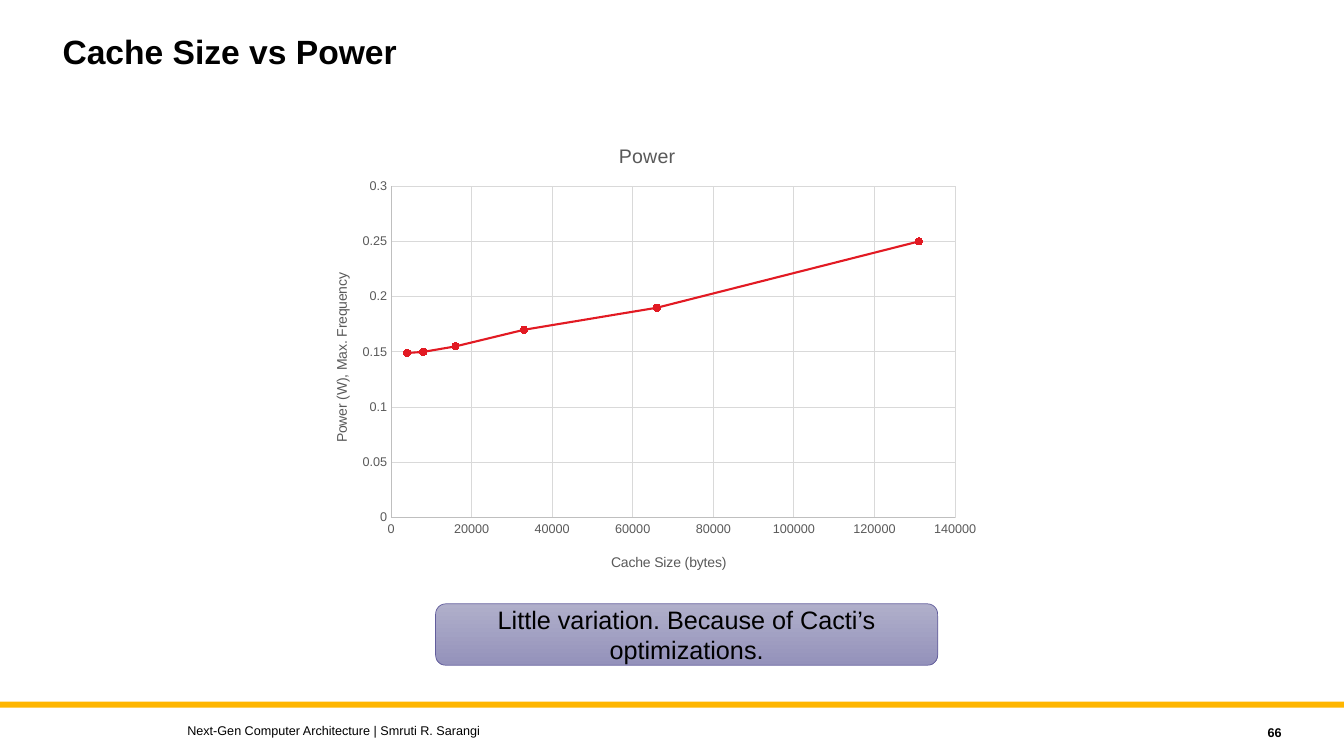
from pptx import Presentation
from pptx.chart.data import XyChartData
from pptx.dml.color import RGBColor
from pptx.enum.chart import XL_CHART_TYPE, XL_MARKER_STYLE, XL_TICK_MARK
from pptx.enum.shapes import MSO_SHAPE
from pptx.enum.text import MSO_ANCHOR, PP_ALIGN
from pptx.oxml import parse_xml
from pptx.oxml.ns import nsdecls, qn
from pptx.util import Inches, Pt

SCATTER = XL_CHART_TYPE.XY_SCATTER_LINES
CIRCLE = XL_MARKER_STYLE.CIRCLE
NO_TICK = XL_TICK_MARK.NONE
RECT, ROUND = MSO_SHAPE.RECTANGLE, MSO_SHAPE.ROUNDED_RECTANGLE
TOP, MIDDLE = MSO_ANCHOR.TOP, MSO_ANCHOR.MIDDLE
LEFT, CENTER, RIGHT = PP_ALIGN.LEFT, PP_ALIGN.CENTER, PP_ALIGN.RIGHT

FONT = "Arial"
COLORS = {"text": "000000", "gray": "595959", "axis": "BFBFBF",
          "grid": "D9D9D9", "power": "E21A23", "bar": "FFB600",
          "light": "B0AFCA", "dark": "9492BB", "edge": "625D9C"}
POINTS = [(4000, 0.149), (8000, 0.15), (16000, 0.155),
          (33000, 0.17), (66000, 0.19), (131000, 0.25)]


def color(name):
    return RGBColor.from_string(COLORS[name])


def style(font, size, name="text", bold=False):
    font.name, font.size, font.bold = FONT, Pt(size), bold
    font.color.rgb = color(name)


def write(frame, text, size, align=LEFT, anchor=MIDDLE, bold=False):
    frame.word_wrap = True
    frame.vertical_anchor = anchor
    para = frame.paragraphs[0]
    para.alignment = align
    run = para.add_run()
    run.text = text
    style(run.font, size, bold=bold)
    return para


def stroke(line, name, width):
    line.color.rgb = color(name)
    line.width = Pt(width)


def place(node, x, y, w=None, h=None):
    """Fix a chart part at fractions of the chart box."""
    for old in node.findall(qn("c:layout")):
        node.remove(old)
    inner = '<c:layoutTarget val="inner"/>' if w else ""
    sizes = f'<c:w val="{w}"/><c:h val="{h}"/>' if w else ""
    layout = parse_xml(
        f'<c:layout {nsdecls("c")}><c:manualLayout>{inner}'
        '<c:xMode val="edge"/><c:yMode val="edge"/>'
        f'<c:x val="{x}"/><c:y val="{y}"/>{sizes}'
        '</c:manualLayout></c:layout>')
    # Layout follows the text in a title and comes first in the plot area
    node.insert(0 if w else 1, layout)


def label(title, text, size, x, y):
    run = title.text_frame.paragraphs[0].add_run()
    run.text = text
    style(run.font, size, "gray")
    place(title.element, x, y)


def set_axis(axis, top, step, form):
    axis.minimum_scale, axis.maximum_scale = 0, top
    axis.major_unit = step
    axis.major_tick_mark = axis.minor_tick_mark = NO_TICK
    axis.has_major_gridlines = True
    stroke(axis.major_gridlines.format.line, "grid", 0.75)
    stroke(axis.format.line, "axis", 0.75)
    labels = axis.tick_labels
    labels.number_format, labels.number_format_is_linked = form, False
    style(labels.font, 9, "gray")


def add_title(slide, x, y, w, h):
    title = slide.shapes.title
    title.left, title.top = Inches(x), Inches(y)
    title.width, title.height = Inches(w), Inches(h)
    para = write(title.text_frame, "Cache Size vs Power", 24,
                 anchor=TOP, bold=True)
    para.line_spacing = 0.9


def add_plot(slide, x, y, w, h):
    data = XyChartData()
    series = data.add_series("Power")
    for size, power in POINTS:
        series.add_data_point(size, power)
    chart = slide.shapes.add_chart(
        SCATTER, Inches(x), Inches(y), Inches(w), Inches(h), data).chart
    style(chart.font, 10)
    chart.has_legend = False
    plot = chart.plots[0]
    plot.vary_by_categories = False

    # Axes and titles
    across, up = chart.category_axis, chart.value_axis
    set_axis(across, 140000, 20000, "General")
    set_axis(up, 0.3, 0.05, "General")
    label(chart.chart_title, "Power", 14, 0.45, 0.04)
    label(across.axis_title, "Cache Size (bytes)", 10, 0.44, 0.92)
    label(up.axis_title, "Power (W), Max. Frequency", 10, 0.03, 0.32)
    place(plot._element.getparent(), 0.12, 0.14, 0.83, 0.71)

    # Power curve
    curve = plot.series[0]
    curve.smooth = False
    stroke(curve.format.line, "power", 1.5)
    mark = curve.marker
    mark.style, mark.size = CIRCLE, 5
    mark.format.fill.solid()
    mark.format.fill.fore_color.rgb = color("power")
    stroke(mark.format.line, "power", 0.75)


def add_note(slide, x, y, w, h):
    note = slide.shapes.add_shape(
        ROUND, Inches(x), Inches(y), Inches(w), Inches(h))
    note.shadow.inherit = False
    note.fill.gradient()
    note.fill.gradient_angle = 270
    for stop, name in zip(note.fill.gradient_stops, ("light", "dark")):
        stop.color.rgb = color(name)
    stroke(note.line, "edge", 0.5)
    write(note.text_frame,
          "Little variation. Because of Cacti’s optimizations.", 18, CENTER)


def add_footer(slide, x, y, w, h):
    # Full-width rule
    bar = slide.shapes.add_shape(
        RECT, Inches(x), Inches(y), Inches(w), Inches(h))
    bar.shadow.inherit = False
    bar.fill.solid()
    bar.fill.fore_color.rgb = color("bar")
    bar.line.fill.background()

    # Course name and page number
    parts = [(1.76, 0.16, 8, LEFT, False,
              "Next-Gen Computer Architecture | Smruti R. Sarangi"),
             (11.41, 0.18, 1.4, RIGHT, True, "66")]
    for dx, dy, wide, align, bold, text in parts:
        box = slide.shapes.add_textbox(
            Inches(x + dx), Inches(y + dy), Inches(wide), Inches(0.25))
        write(box.text_frame, text, 9, align, bold=bold)


def main():
    deck = Presentation()
    deck.slide_width, deck.slide_height = Inches(13.33), Inches(7.5)
    slide = deck.slides.add_slide(deck.slide_layouts[5])
    add_title(slide, 0.52, 0.3, 10, 0.9)
    add_plot(slide, 3.07, 1.2, 6.74, 4.63)
    add_footer(slide, 0, 6.96, 13.33, 0.06)
    add_note(slide, 4.32, 5.99, 4.98, 0.61)
    deck.save("out.pptx")


if __name__ == "__main__":
    main()
